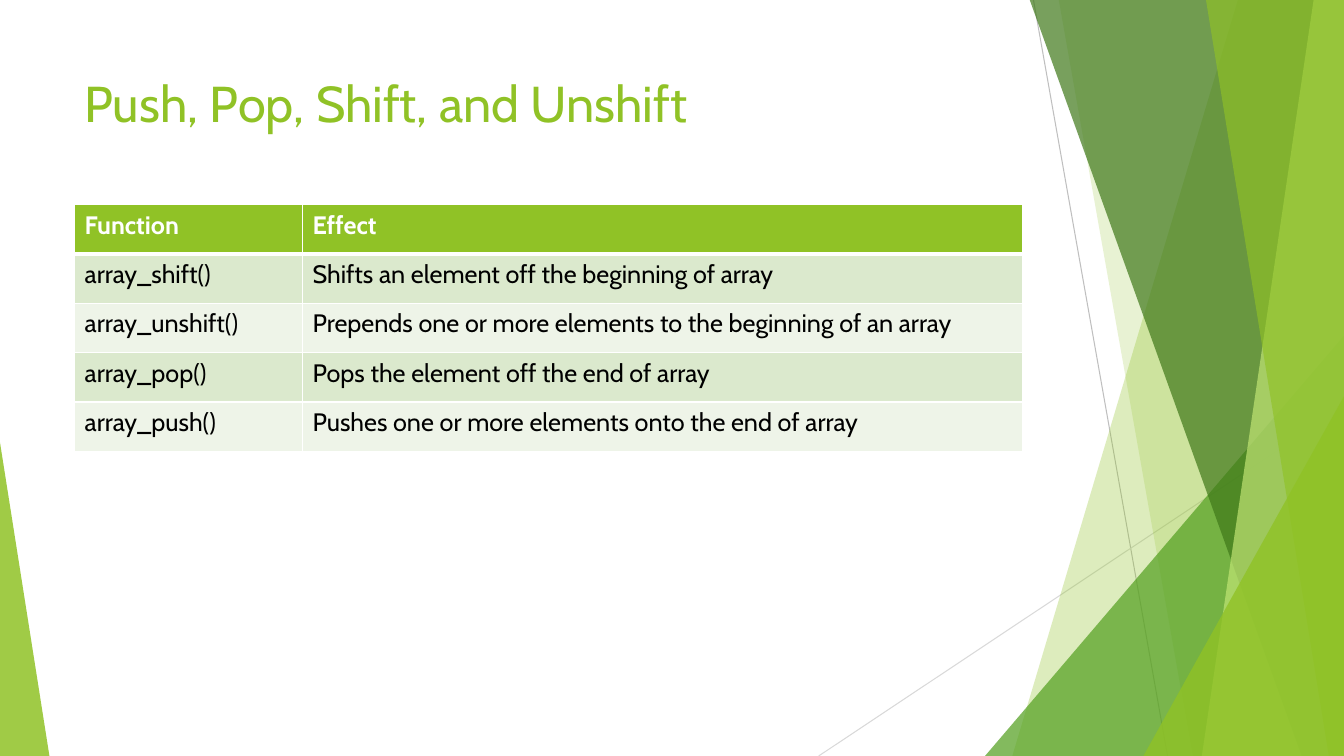
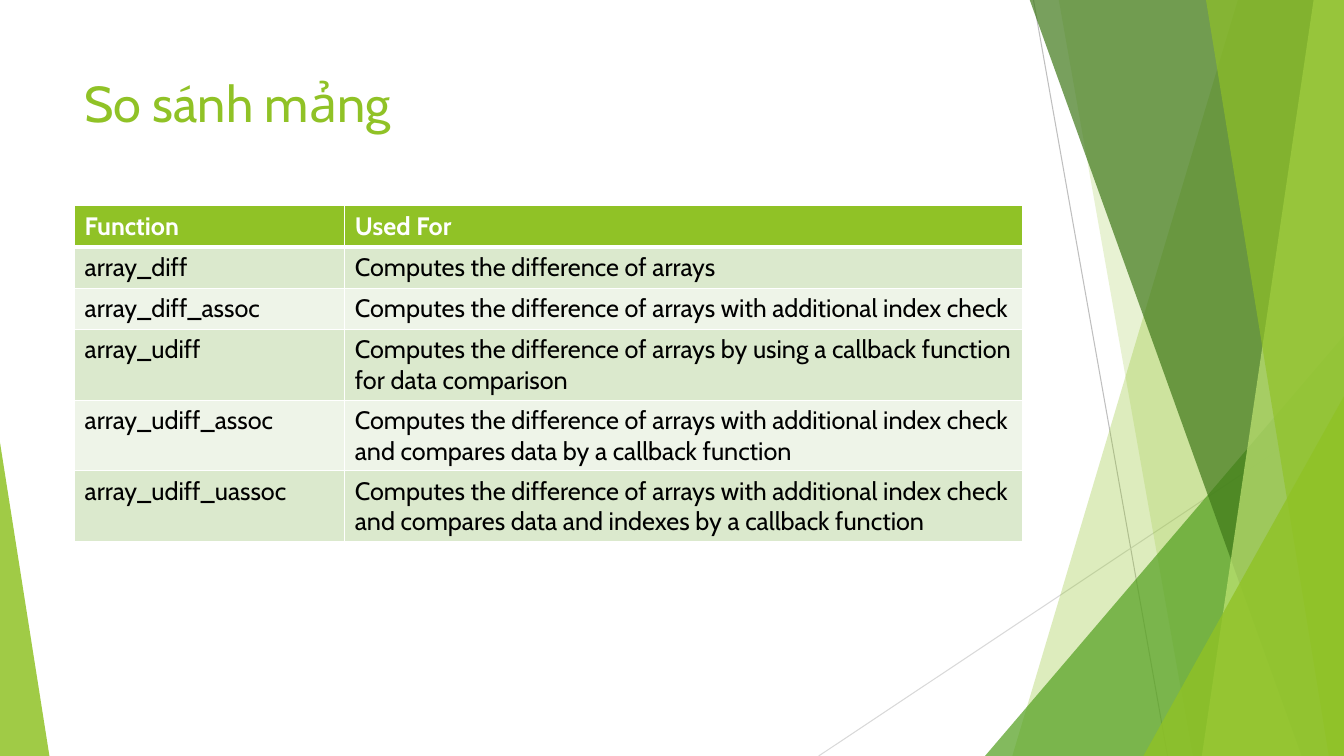
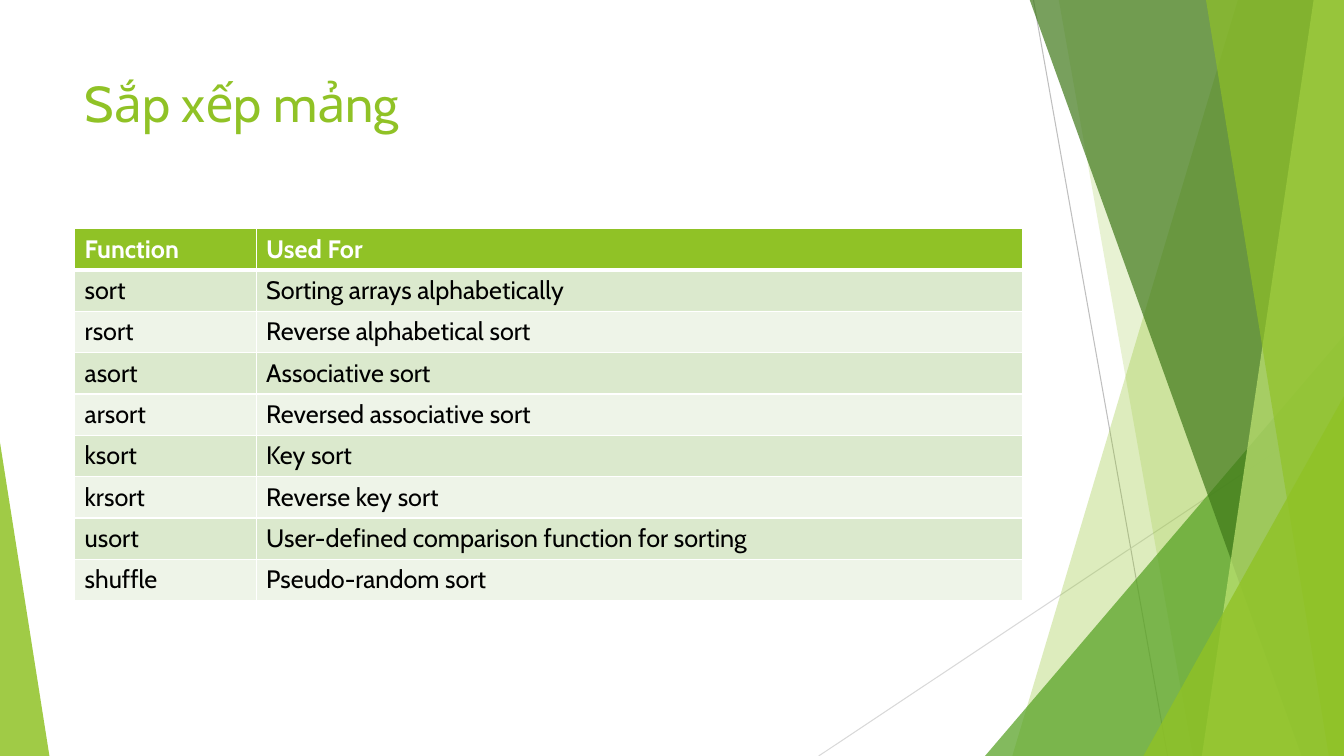
from lxml import etree
from pptx import Presentation
from pptx.dml.color import RGBColor
from pptx.enum.shapes import MSO_CONNECTOR, MSO_SHAPE
from pptx.oxml.ns import qn
from pptx.util import Inches, Pt

LINE = MSO_CONNECTOR.STRAIGHT
TRIANGLE = MSO_SHAPE.ISOSCELES_TRIANGLE

FONT = "Cabin"
LIME, GREEN, FOREST, PALE = "90C226", "54A021", "3F7819", "C0E474"
WHITE, BLACK = "FFFFFF", "000000"
ROWS = ["DBE9CD", "EEF4E8"]
WIDE, HIGH = 13.33, 7.5
LEFT, SPAN = 0.74, 9.4

PUSH = [
    ("Function", "Effect"),
    ("array_shift()", "Shifts an element off the beginning of array"),
    ("array_unshift()",
     "Prepends one or more elements to the beginning of an array"),
    ("array_pop()", "Pops the element off the end of array"),
    ("array_push()", "Pushes one or more elements onto the end of array"),
]
DIFF = [
    ("Function", "Used For"),
    ("array_diff", "Computes the difference of arrays"),
    ("array_diff_assoc",
     "Computes the difference of arrays with additional index check"),
    ("array_udiff", "Computes the difference of arrays by using a callback "
     "function for data comparison"),
    ("array_udiff_assoc", "Computes the difference of arrays with additional "
     "index check and compares data by a callback function"),
    ("array_udiff_uassoc", "Computes the difference of arrays with additional "
     "index check and compares data and indexes by a callback function"),
]
SORT = [
    ("Function", "Used For"),
    ("sort", "Sorting arrays alphabetically"),
    ("rsort", "Reverse alphabetical sort"),
    ("asort", "Associative sort"),
    ("arsort", "Reversed associative sort"),
    ("ksort", "Key sort"),
    ("krsort", "Reverse key sort"),
    ("usort", "User-defined comparison function for sorting"),
    ("shuffle", "Pseudo-random sort"),
]


def color(code):
    """Turn a hex string into a colour."""
    return RGBColor.from_string(code)


def write(frame, text, size=18, tint=BLACK, bold=False):
    """Put formatted text into a text frame."""
    frame.word_wrap = True
    run = frame.paragraphs[0].add_run()
    run.text = text
    run.font.name = FONT
    run.font.size = Pt(size)
    run.font.bold = bold
    run.font.color.rgb = color(tint)


def paint(shape, tint, alpha):
    """Fill a shape with a see-through colour, without line or shadow."""
    shape.shadow.inherit = False
    shape.line.fill.background()
    shape.fill.solid()
    shape.fill.fore_color.rgb = color(tint)
    clr = shape.fill._xPr.find(qn("a:solidFill"))[0]
    etree.SubElement(clr, qn("a:alpha"), val=str(alpha * 1000))


def ray(slide, start, end, tint):
    """Draw a thin straight line."""
    ends = [Inches(n) for n in (*start, *end)]
    line = slide.shapes.add_connector(LINE, *ends)
    line.line.color.rgb = color(tint)
    line.line.width = Pt(0.75)
    etree.SubElement(line._element.spPr, qn("a:effectLst"))


def band(slide, top, foot, tint, alpha):
    """Draw a full-height band from a slanted left side to the right edge."""
    spots = [(top, -0.01), (WIDE, -0.01), (WIDE, HIGH), (foot, HIGH)]
    spots = [(Inches(x), Inches(y)) for x, y in spots]
    pen = slide.shapes.build_freeform(*spots[0])
    pen.add_line_segments(spots[1:], close=True)
    paint(pen.convert_to_shape(), tint, alpha)


def wedge(slide, left, top, width, peak, tint, alpha):
    """Draw a triangle that stands on the bottom edge."""
    shape = slide.shapes.add_shape(TRIANGLE, Inches(left), Inches(top),
                                   Inches(width), Inches(HIGH - top))
    shape.adjustments[0] = peak
    paint(shape, tint, alpha)


def decor(slide):
    """Draw the green facets that all slides share."""
    ray(slide, (10.25, 0), (11.58, HIGH), "BFBFBF")
    ray(slide, (WIDE, 4.03), (8.12, HIGH), "D9D9D9")
    band(slide, 12.28, 10.04, LIME, 30)
    band(slide, 10.5, 11.83, LIME, 20)
    wedge(slide, 9.77, 3.33, 3.56, 1, GREEN, 72)
    band(slide, 10.21, 12.91, FOREST, 70)
    band(slide, 13.03, 11.92, PALE, 70)
    band(slide, 11.96, 13.18, LIME, 65)
    wedge(slide, 11.34, 3.93, 1.99, 1, LIME, 80)
    wedge(slide, 0, 4.39, 0.49, 0, LIME, 85)


def title(slide, text, height):
    """Add the slide title."""
    box = slide.shapes.add_textbox(Inches(LEFT), Inches(0.67),
                                   Inches(SPAN), Inches(height))
    write(box.text_frame, text, size=36, tint=LIME)


def edge(cell, side, width):
    """Give one side of a cell a white border."""
    line = etree.SubElement(cell._tc.get_or_add_tcPr(), qn("a:ln" + side),
                            w=str(Pt(width)))
    fill = etree.SubElement(line, qn("a:solidFill"))
    etree.SubElement(fill, qn("a:srgbClr"), val=WHITE)


def style(cell, text, row):
    """Set the borders, fill and text of a cell by its row."""
    head = row == 0
    thick = {0: "B", 1: "T"}.get(row)
    for side in "LRTB":
        edge(cell, side, 3 if side == thick else 1)
    cell.fill.solid()
    cell.fill.fore_color.rgb = color(LIME if head else ROWS[(row - 1) % 2])
    write(cell.text_frame, text, tint=WHITE if head else BLACK, bold=head)


def grid(slide, data, top, first, step):
    """Add a two-column table with a green header row."""
    table = slide.shapes.add_table(
        len(data), 2, Inches(LEFT), Inches(top),
        Inches(SPAN), Inches(step * len(data))).table
    table.horz_banding = False
    for col, width in zip(table.columns, (first, SPAN - first)):
        col.width = Inches(width)
    for row, texts in enumerate(data):
        for col, text in enumerate(texts):
            style(table.cell(row, col), text, row)


def main():
    """Build and save the three slides."""
    deck = Presentation()
    deck.slide_width, deck.slide_height = Inches(WIDE), Inches(HIGH)
    pages = [
        ("Push, Pop, Shift, and Unshift", 0.94, PUSH, 2.03, 2.26, 0.49),
        ("So sánh mảng", 0.82, DIFF, 2.04, 2.68, 0.41),
        ("Sắp xếp mảng", 1.44, SORT, 2.27, 1.8, 0.41),
    ]
    for name, height, data, top, first, step in pages:
        slide = deck.slides.add_slide(deck.slide_layouts[6])
        decor(slide)
        title(slide, name, height)
        grid(slide, data, top, first, step)
    deck.save("out.pptx")


main()
